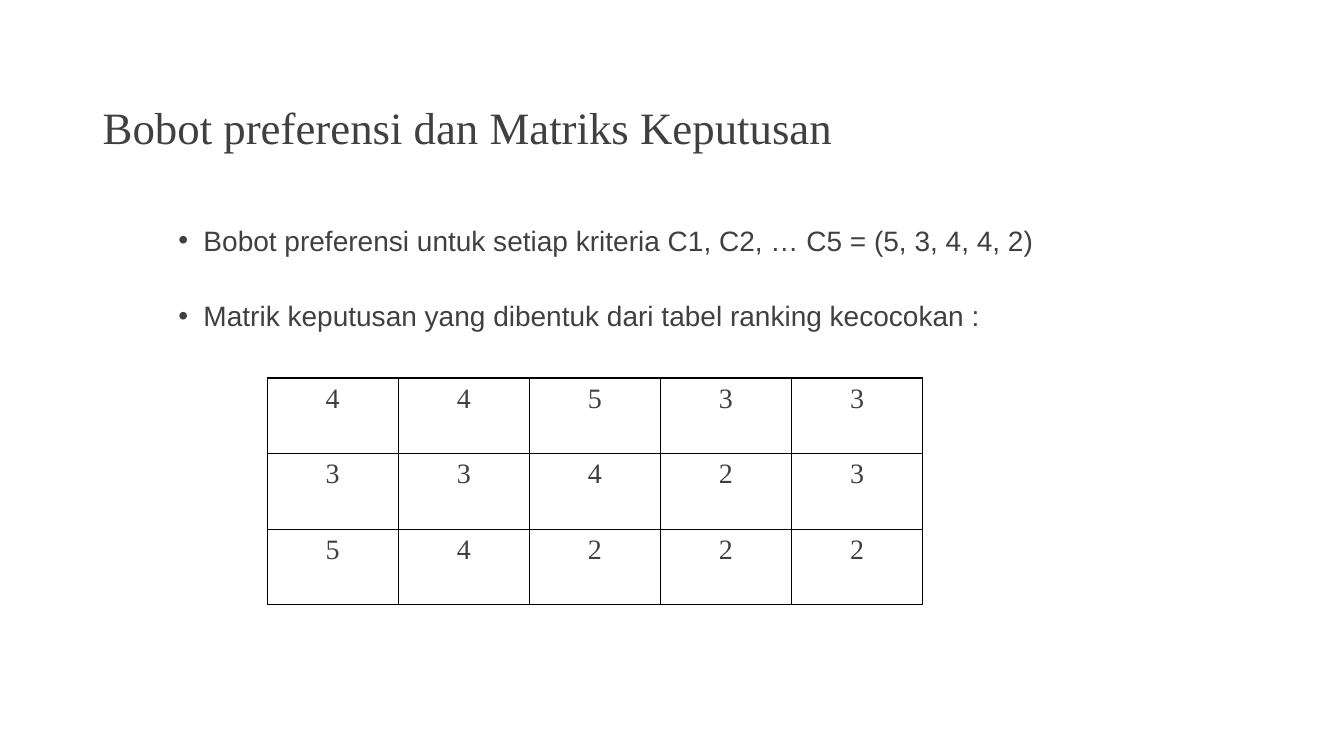
from pptx import Presentation
from pptx.dml.color import RGBColor
from pptx.enum.text import MSO_ANCHOR, PP_ALIGN
from pptx.oxml.ns import qn
from pptx.util import Inches, Pt
from lxml import etree

TITLE = "Bobot preferensi dan Matriks Keputusan"
POINTS = [
    "Bobot preferensi untuk setiap kriteria C1, C2, … C5 = (5, 3, 4, 4, 2)",
    "Matrik keputusan yang dibentuk dari tabel ranking kecocokan :",
]
DECISION_MATRIX = [
    (4, 4, 5, 3, 3),
    (3, 3, 4, 2, 3),
    (5, 4, 2, 2, 2),
]

GRAY = RGBColor(0x40, 0x40, 0x40)
BLACK = RGBColor(0, 0, 0)
SERIF, SANS = "Times New Roman", "Arial"
CENTER, JUSTIFY = PP_ALIGN.CENTER, PP_ALIGN.JUSTIFY
BOTTOM = MSO_ANCHOR.BOTTOM
COLUMN_WIDTH, ROW_HEIGHT = Inches(1.3), Inches(0.75)


def add_run(paragraph, text, font, size):
    run = paragraph.add_run()
    run.text = text
    run.font.name = font
    run.font.size = Pt(size)
    run.font.color.rgb = GRAY


def add_text_frame(slide, left, top, width, height):
    frame = slide.shapes.add_textbox(
        Inches(left), Inches(top), Inches(width), Inches(height)).text_frame
    frame.word_wrap = True
    return frame


def add_bullet(paragraph):
    properties = paragraph._p.get_or_add_pPr()
    properties.set("marL", str(Inches(0.25)))
    properties.set("indent", str(-Inches(0.25)))
    etree.SubElement(properties, qn("a:buFont"), typeface=SANS)
    etree.SubElement(properties, qn("a:buChar"), char="•")


def add_borders(cell):
    properties = cell._tc.get_or_add_tcPr()
    for side in ("lnL", "lnR", "lnT", "lnB"):
        border = etree.SubElement(properties, qn(f"a:{side}"), w=str(Pt(1)))
        fill = etree.SubElement(border, qn("a:solidFill"))
        etree.SubElement(fill, qn("a:srgbClr"), val=str(BLACK))


def main():
    deck = Presentation()
    deck.slide_width, deck.slide_height = Inches(13.33), Inches(7.5)
    slide = deck.slides.add_slide(deck.slide_layouts[6])

    heading = add_text_frame(slide, 0.92, 0.4, 10.75, 1.18)
    heading.vertical_anchor = BOTTOM
    heading.paragraphs[0].line_spacing = 0.9
    add_run(heading.paragraphs[0], TITLE, SERIF, 32)

    body = add_text_frame(slide, 1.67, 2, 10, 4.66)
    for index, point in enumerate(POINTS):
        paragraph = body.add_paragraph() if index else body.paragraphs[0]
        paragraph.alignment = JUSTIFY
        paragraph.line_spacing = 1.5
        paragraph.space_before = Pt(18)
        add_bullet(paragraph)
        add_run(paragraph, point, SANS, 20)

    row_count, column_count = len(DECISION_MATRIX), len(DECISION_MATRIX[0])
    matrix = slide.shapes.add_table(
        row_count, column_count, Inches(2.65), Inches(3.75),
        COLUMN_WIDTH * column_count, ROW_HEIGHT * row_count).table
    matrix.first_row = matrix.horz_banding = False
    for column in matrix.columns:
        column.width = COLUMN_WIDTH
    for row, ratings in zip(matrix.rows, DECISION_MATRIX):
        row.height = ROW_HEIGHT
        for cell, rating in zip(row.cells, ratings):
            add_borders(cell)
            cell.fill.background()
            paragraph = cell.text_frame.paragraphs[0]
            paragraph.alignment = CENTER
            add_run(paragraph, str(rating), SERIF, 20)

    deck.save("out.pptx")


if __name__ == "__main__":
    main()
